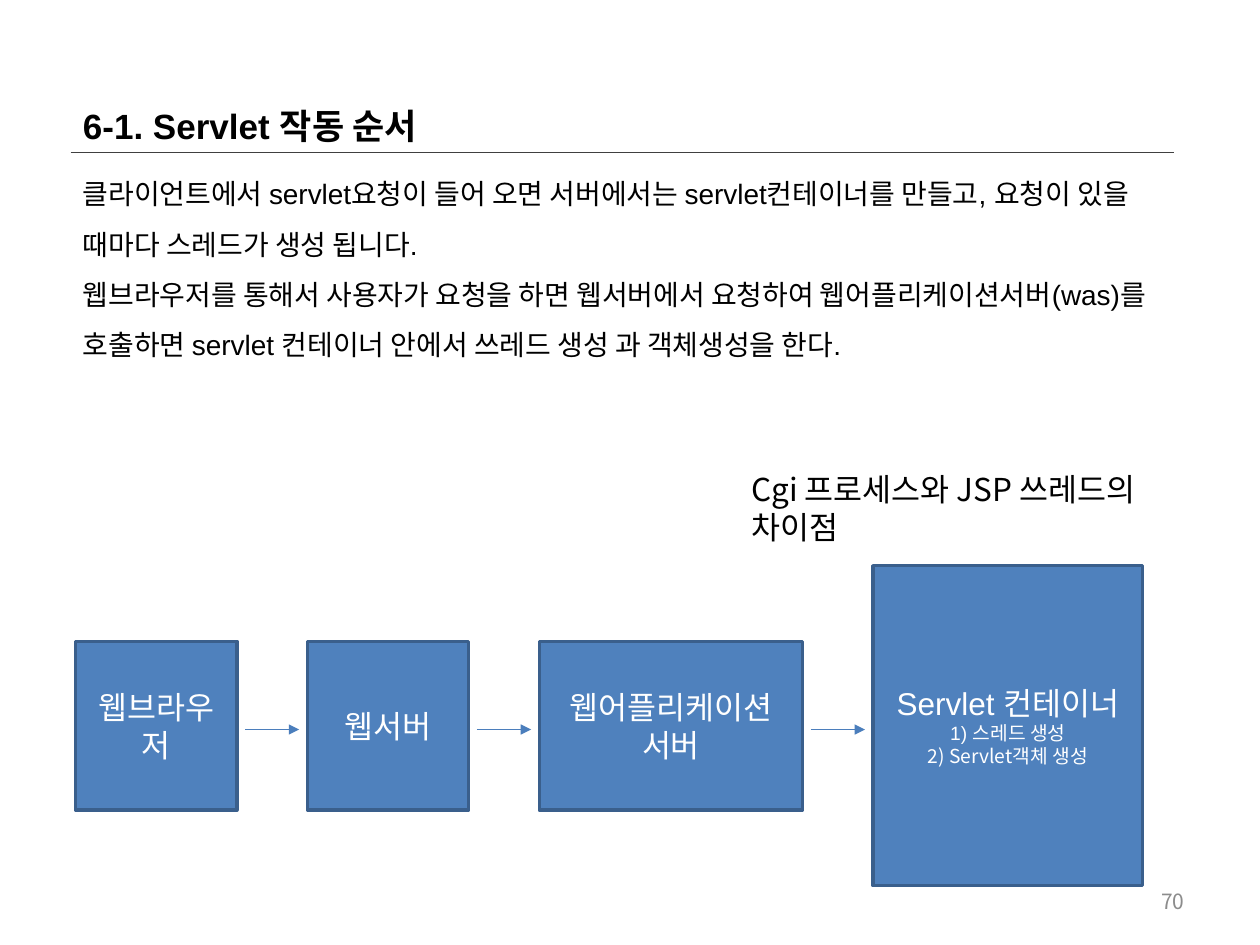
import pptx
import pptx.util
import pptx.dml.color
import pptx.enum.shapes
import pptx.enum.text
import pptx.oxml
import pptx.oxml.ns

Inches = pptx.util.Inches
Pt = pptx.util.Pt
ALIGN = pptx.enum.text.PP_ALIGN
ANCHOR = pptx.enum.text.MSO_ANCHOR

LATIN = "Arial"
KOREAN = "Noto Sans CJK KR"


def color(hex_string):
    return pptx.dml.color.RGBColor.from_string(hex_string)


def write(shape, lines, hex_color="000000", align=ALIGN.LEFT,
          anchor=ANCHOR.TOP, bold=False, spacing=None):
    """Fill a shape with paragraphs given as (text, size, font name)."""
    frame = shape.text_frame
    frame.word_wrap = True
    frame.vertical_anchor = anchor
    for index, (text, size, font_name) in enumerate(lines):
        paragraph = frame.add_paragraph() if index else frame.paragraphs[0]
        paragraph.text = text
        paragraph.alignment = align
        if spacing:
            paragraph.line_spacing = spacing
        font = paragraph.font
        font.name = font_name
        font.size = Pt(size)
        font.bold = bold
        font.color.rgb = color(hex_color)


def add_text(slide, box, lines, **style):
    shape = slide.shapes.add_textbox(*map(Inches, box))
    write(shape, lines, **style)


def add_line(slide, start, end, hex_color, width, arrow=False):
    connector = slide.shapes.add_connector(
        pptx.enum.shapes.MSO_CONNECTOR.STRAIGHT, *map(Inches, start + end))
    connector.line.color.rgb = color(hex_color)
    connector.line.width = Pt(width)
    if arrow:
        line = connector.line._get_or_add_ln()
        tail = pptx.oxml.parse_xml(
            f'<a:tailEnd {pptx.oxml.ns.nsdecls("a")} type="triangle"/>')
        line.append(tail)
    properties = connector._element.spPr
    properties.append(pptx.oxml.parse_xml(
        f'<a:effectLst {pptx.oxml.ns.nsdecls("a")}/>'))


def add_header(slide, left, top, width, height):
    """Heading with a rule beneath it."""
    add_text(slide, (left, top, width, height),
             [("6-1. Servlet 작동 순서", 20, LATIN)], bold=True)
    rule = top + height - 0.01
    add_line(slide, (left, rule), (left + width, rule), "404040", 1)


def add_body(slide, left, top, width, height):
    paragraphs = [
        "클라이언트에서 servlet요청이 들어 오면 서버에서는 servlet컨테이너를 만들고, "
        "요청이 있을 때마다 스레드가 생성 됩니다.",
        "웹브라우저를 통해서 사용자가 요청을 하면 웹서버에서 요청하여 "
        "웹어플리케이션서버(was)를 호출하면 servlet 컨테이너 안에서 "
        "쓰레드 생성 과 객체생성을 한다.",
    ]
    add_text(slide, (left, top, width, height),
             [(text, 16, LATIN) for text in paragraphs], spacing=1.5)


def add_flow(slide, left, top, height):
    """Row of boxes, centred on one axis and joined by arrows."""
    gap, clearance = 0.56, 0.065
    steps = [
        (1.28, 1.34, [("웹브라우저", 18, LATIN)]),
        (1.28, 1.34, [("웹서버", 18, LATIN)]),
        (2.09, 1.34, [("웹어플리케이션 서버", 18, LATIN)]),
        (2.14, height, [("Servlet 컨테이너", 18, LATIN),
                        ("1) 스레드 생성", 11, LATIN),
                        ("2) Servlet객체 생성", 11, KOREAN)]),
    ]
    middle = top + height / 2
    arrow_level = middle + 0.03
    for index, (box_width, box_height, lines) in enumerate(steps):
        box = (left, middle - box_height / 2, box_width, box_height)
        shape = slide.shapes.add_shape(
            pptx.enum.shapes.MSO_SHAPE.RECTANGLE, *map(Inches, box))
        shape.shadow.inherit = False
        shape.fill.solid()
        shape.fill.fore_color.rgb = color("4F81BD")
        shape.line.color.rgb = color("3A5F8C")
        shape.line.width = Pt(2)
        write(shape, lines, "FFFFFF", ALIGN.CENTER, ANCHOR.MIDDLE)
        if index:
            add_line(slide, (left - gap + clearance, arrow_level),
                     (left - clearance, arrow_level), "4B7EBC", 0.75, arrow=True)
        left += box_width + gap


def main():
    presentation = pptx.Presentation()
    presentation.slide_width = Inches(10)
    presentation.slide_height = Inches(7.5)
    slide = presentation.slides.add_slide(presentation.slide_layouts[6])

    add_header(slide, 0.56, 0.78, 8.76, 0.44)
    add_body(slide, 0.56, 1.22, 8.76, 1.72)
    add_flow(slide, 0.6, 4.49, 2.54)

    # Note above the flow
    add_text(slide, (5.87, 3.68, 3.94, 0.71),
             [("Cgi 프로세스와 JSP 쓰레드의 차이점", 18, KOREAN)])
    # Page number
    add_text(slide, (7.17, 6.95, 2.33, 0.4), [("70", 12, KOREAN)],
             hex_color="8C8C8C", align=ALIGN.RIGHT, anchor=ANCHOR.MIDDLE)

    presentation.save("out.pptx")


if __name__ == "__main__":
    main()
